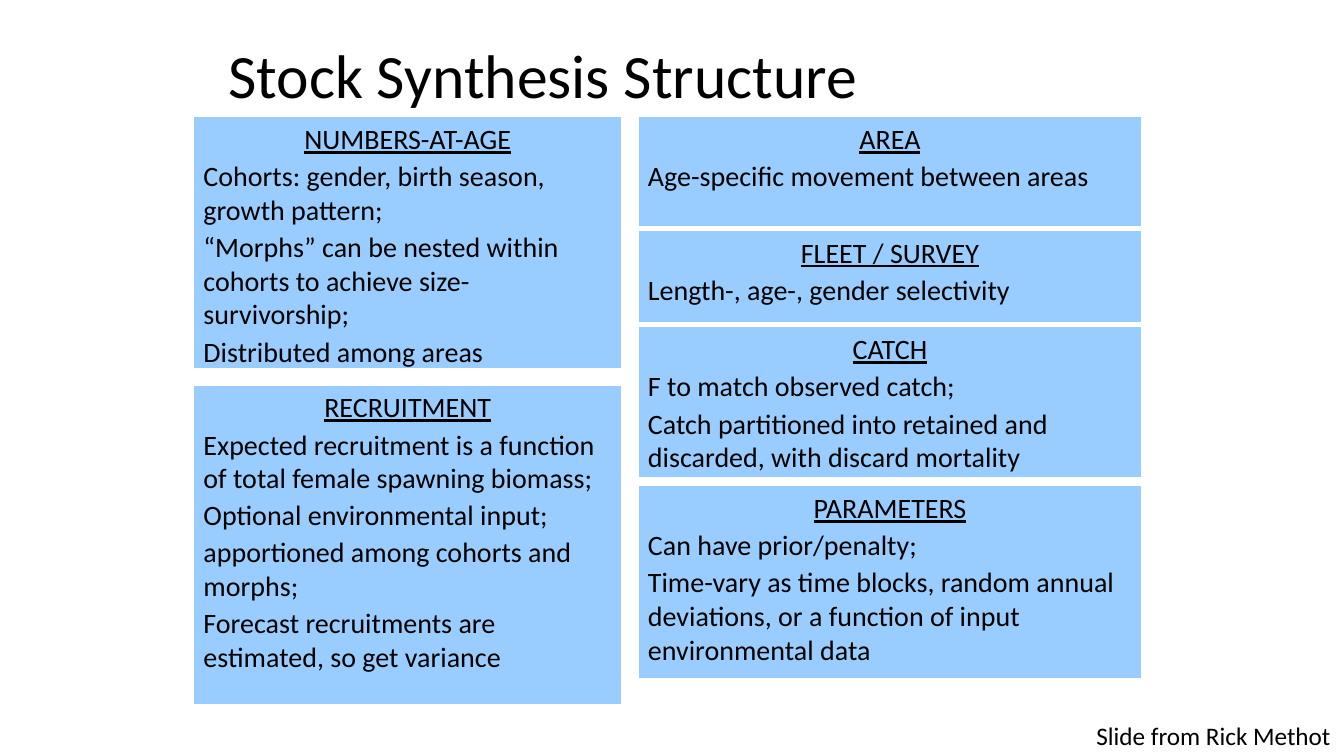
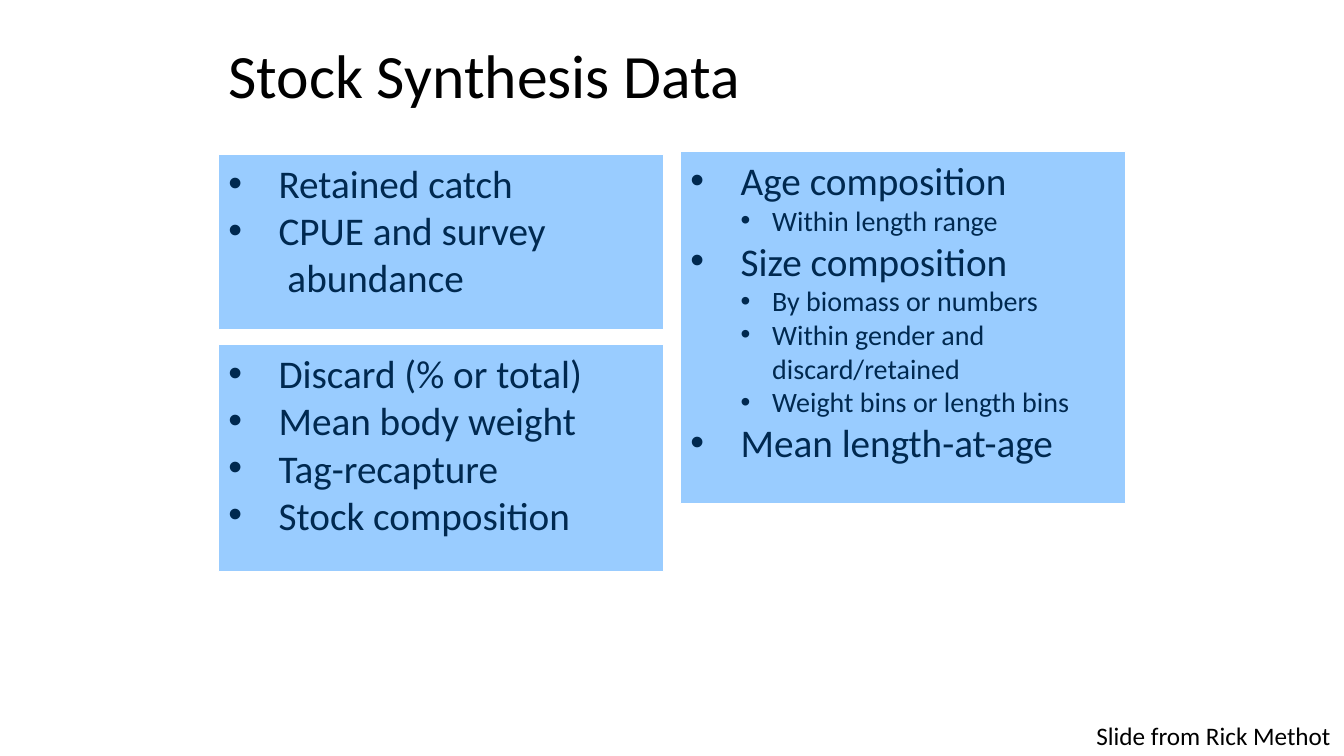
from lxml.etree import SubElement
from pptx import Presentation
from pptx.dml.color import RGBColor
from pptx.enum.shapes import MSO_SHAPE
from pptx.enum.text import MSO_ANCHOR, PP_ALIGN
from pptx.oxml.ns import qn
from pptx.util import Pt

# Shared look
FONT = "Calibri"
SKY = RGBColor(0x99, 0xCC, 0xFF)
WHITE = RGBColor(0xFF, 0xFF, 0xFF)
BLACK = RGBColor(0, 0, 0)
NAVY = RGBColor(0x00, 0x29, 0x50)
WIDE, HIGH = 960, 540

# Bullet levels: text size, left margin, hanging indent
LEVELS = [(28, 36, 36), (20, 58.5, 22.5)]

# Columns: left, top, width, then cards of (gap above, height, lines)
TOPICS = [
    (138.25, 83.5, 306, [
        (0, 180, ["NUMBERS-AT-AGE",
                  "Cohorts: gender, birth season, growth pattern;",
                  "“Morphs” can be nested within cohorts to achieve size-survivorship;",
                  "Distributed among areas"]),
        (11.5, 228, ["RECRUITMENT",
                     "Expected recruitment is a function of total female spawning biomass;",
                     "Optional environmental input;",
                     "apportioned among cohorts and morphs;",
                     "Forecast recruitments are estimated, so get variance"]),
    ]),
    (455.75, 83.5, 360, [
        (0, 78, ["AREA", "Age-specific movement between areas"]),
        (3, 66, ["FLEET / SURVEY", "Length-, age-, gender selectivity"]),
        (3, 108, ["CATCH", "F to match observed catch;",
                  "Catch partitioned into retained and discarded, with discard mortality"]),
        (5.5, 138, ["PARAMETERS", "Can have prior/penalty;",
                    "Time-vary as time blocks, random annual deviations, "
                    "or a function of input environmental data"]),
    ]),
]
DATA = [
    (156, 110, 318, [
        (0, 125.25, [(0, "Retained catch"), (0, "CPUE and survey\n abundance")]),
        (11, 162, [(0, "Discard (% or total)"), (0, "Mean body weight"),
                   (0, "Tag-recapture"), (0, "Stock composition")]),
    ]),
    (486, 108, 318, [
        (0, 252, [(0, "Age composition"), (1, "Within length range"),
                  (0, "Size composition"), (1, "By biomass or numbers"),
                  (1, "Within gender and discard/retained"),
                  (1, "Weight bins or length bins"),
                  (0, "Mean length-at-age")]),
    ]),
]


def write(para, text, size, color=BLACK, under=False):
    for row, part in enumerate(text.split("\n")):
        if row:
            para.add_line_break()
        run = para.add_run()
        run.text = part
        font = run.font
        font.name, font.size, font.underline = FONT, Pt(size), under
        font.color.rgb = color


def label(slide, x, y, w, h, text, size, wrap=True):
    frame = slide.shapes.add_textbox(Pt(x), Pt(y), Pt(w), Pt(h)).text_frame
    frame.word_wrap = wrap
    frame.vertical_anchor = MSO_ANCHOR.MIDDLE if wrap else MSO_ANCHOR.TOP
    para = frame.paragraphs[0]
    write(para, text, size)
    return para


def topic(para, row, line):
    """Underlined, centred heading first, then plain lines."""
    para.alignment = PP_ALIGN.LEFT if row else PP_ALIGN.CENTER
    if row:
        para.space_before = Pt(2.5)
    write(para, line, 20, under=not row)


def bullet(para, row, line):
    level, text = line
    size, left, hang = LEVELS[level]
    para.level = level
    para.alignment = PP_ALIGN.LEFT
    props = para._p.get_or_add_pPr()
    props.set("marL", str(int(Pt(left))))
    props.set("indent", str(-int(Pt(hang))))
    SubElement(props, qn("a:buFont"), typeface="Arial")
    SubElement(props, qn("a:buChar"), char="•")
    write(para, text, size, NAVY)


def card(slide, x, y, w, h, lines, style):
    box = slide.shapes.add_shape(MSO_SHAPE.RECTANGLE, Pt(x), Pt(y), Pt(w), Pt(h))
    box.shadow.inherit = False
    box.fill.solid()
    box.fill.fore_color.rgb = SKY
    box.line.color.rgb = WHITE
    box.line.width = Pt(0.75)
    frame = box.text_frame
    frame.word_wrap = True
    frame.vertical_anchor = MSO_ANCHOR.TOP
    for row, line in enumerate(lines):
        para = frame.add_paragraph() if row else frame.paragraphs[0]
        style(para, row, line)


def column(slide, x, y, w, cards, style):
    for gap, h, lines in cards:
        y += gap
        card(slide, x, y, w, h, lines, style)
        y += h


def page(deck, title, columns, style):
    slide = deck.slides.add_slide(deck.slide_layouts[6])
    for x, y, w, cards in columns:
        column(slide, x, y, w, cards, style)
    # Title and credit
    label(slide, 156, 21.5, 648, 68.5, title, 44).line_spacing = 0.9
    label(slide, WIDE - 184, HIGH - 29, 184, 29, "Slide from Rick Methot", 18, wrap=False)


def main():
    deck = Presentation()
    deck.slide_width, deck.slide_height = Pt(WIDE), Pt(HIGH)
    page(deck, "Stock Synthesis Structure", TOPICS, topic)
    page(deck, "Stock Synthesis Data", DATA, bullet)
    deck.save("out.pptx")


if __name__ == "__main__":
    main()
